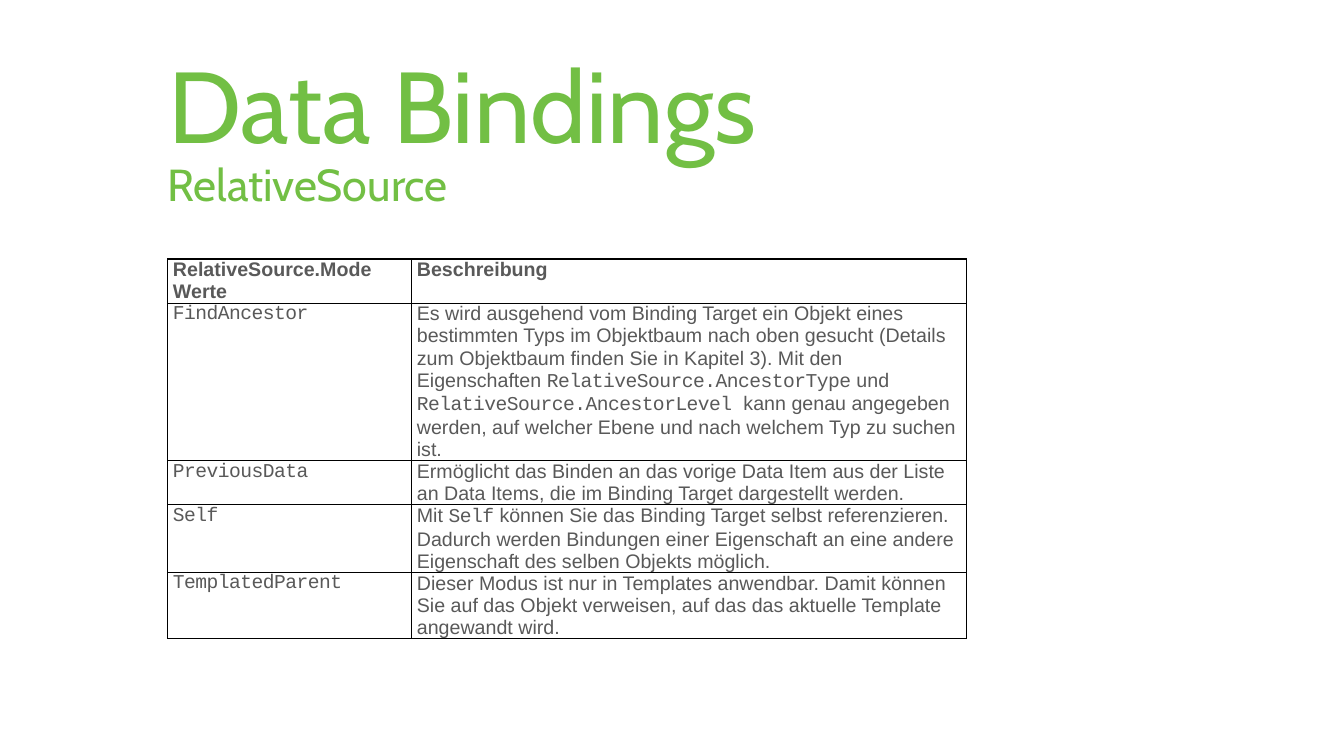
from dataclasses import dataclass

from lxml import etree
from pptx import Presentation
from pptx import util as u
from pptx.dml.color import RGBColor
from pptx.enum import text
from pptx.oxml import ns


@dataclass(frozen=True)
class Theme:
    """Colours, fonts and type sizes of the slide."""
    green: str = "72BF44"
    grey: str = "595959"
    line: str = "000000"
    heading_font: str = "Cabin"
    body_font: str = "Arial"
    code_font: str = "Courier New"
    title_size: float = 72
    subtitle_size: float = 32
    table_size: float = 14
    code_spacing: int = -40
    border: float = 1


THEME = Theme()
COLUMNS = (2.42, 5.5)
ROW_HEIGHTS = (0.43, 1.55, 0.43, 0.66, 0.65)
MODES = (
    ("RelativeSource.Mode Werte", "Beschreibung"),
    ("`FindAncestor`",
     "Es wird ausgehend vom Binding Target ein Objekt eines bestimmten Typs im "
     "Objektbaum nach oben gesucht (Details zum Objektbaum finden Sie in Kapitel 3). "
     "Mit den Eigenschaften `RelativeSource.AncestorType` und "
     "`RelativeSource.AncestorLevel `kann genau angegeben werden, auf welcher Ebene "
     "und nach welchem Typ zu suchen ist."),
    ("`PreviousData`",
     "Ermöglicht das Binden an das vorige Data Item aus der Liste an Data Items, "
     "die im Binding Target dargestellt werden."),
    ("`Self`",
     "Mit `Self` können Sie das Binding Target selbst referenzieren. Dadurch werden "
     "Bindungen einer Eigenschaft an eine andere Eigenschaft des selben Objekts möglich."),
    ("`TemplatedParent`",
     "Dieser Modus ist nur in Templates anwendbar. Damit können Sie auf das Objekt "
     "verweisen, auf das das aktuelle Template angewandt wird."),
)


def style(r, font, size, color, bold=False):
    """Format one run."""
    r.font.name, r.font.size, r.font.bold = font, u.Pt(size), bold
    r.font.color.rgb = RGBColor.from_string(color)


def heading(sp, box, words, size, anchor):
    """Place a placeholder in its box and write one green line."""
    sp.left, sp.top, sp.width, sp.height = (u.Inches(n) for n in box)
    tf = sp.text_frame
    tf.text = words
    tf.word_wrap, tf.auto_size = True, text.MSO_AUTO_SIZE.NONE
    tf.vertical_anchor = anchor
    tf.margin_left = tf.margin_right = tf.margin_top = tf.margin_bottom = 0
    p = tf.paragraphs[0]
    pPr = p._p.get_or_add_pPr()
    pPr.set("marL", "0")
    pPr.set("indent", "0")
    etree.SubElement(pPr, ns.qn("a:buNone"))
    p.alignment = text.PP_ALIGN.LEFT
    p.space_before = u.Pt(0)
    style(p.runs[0], THEME.heading_font, size, THEME.green)


def draw_borders(cell):
    """Rule all four sides of a cell."""
    tcPr = cell._tc.get_or_add_tcPr()
    for i, side in enumerate(("lnL", "lnR", "lnT", "lnB")):
        ln = etree.Element(ns.qn(f"a:{side}"), w=str(u.Pt(THEME.border)))
        fill = etree.SubElement(ln, ns.qn("a:solidFill"))
        etree.SubElement(fill, ns.qn("a:srgbClr"), val=THEME.line)
        tcPr.insert(i, ln)


def fill_cell(cell, words, bold):
    """Write a cell, setting the parts between backticks as code."""
    cell.margin_left = cell.margin_right = u.Inches(0.05)
    cell.margin_top = cell.margin_bottom = 0
    cell.fill.background()
    draw_borders(cell)
    p = cell.text_frame.paragraphs[0]
    for i, part in enumerate(words.split("`")):
        if part:
            r = p.add_run()
            r.text = part
            is_code = i % 2 == 1
            font = THEME.code_font if is_code else THEME.body_font
            style(r, font, THEME.table_size, THEME.grey, bold)
            if is_code:
                r.font._element.set("spc", str(THEME.code_spacing))


def mode_table(slide, left, top):
    """Build the table of modes from its top left corner."""
    frame = slide.shapes.add_table(
        len(MODES), len(COLUMNS), u.Inches(left), u.Inches(top),
        u.Inches(sum(COLUMNS)), u.Inches(sum(ROW_HEIGHTS)))
    table = frame.table
    table.horz_banding = False
    for column, width in zip(table.columns, COLUMNS):
        column.width = u.Inches(width)
    for i, (row, height) in enumerate(zip(table.rows, ROW_HEIGHTS)):
        row.height = u.Inches(height)
        for cell, words in zip(row.cells, MODES[i]):
            fill_cell(cell, words, bold=i == 0)


def main():
    """Build and save the slide."""
    prs = Presentation()
    prs.slide_width, prs.slide_height = u.Inches(13.33), u.Inches(7.5)
    slide = prs.slides.add_slide(prs.slide_layouts[1])
    title, subtitle = slide.placeholders
    heading(title, (1.67, 0.53, 11.3, 0.99), "Data Bindings",
            THEME.title_size, text.MSO_ANCHOR.MIDDLE)
    heading(subtitle, (1.66, 1.55, 11.3, 0.48), "RelativeSource",
            THEME.subtitle_size, text.MSO_ANCHOR.TOP)
    mode_table(slide, 1.665, 2.57)
    prs.save("out.pptx")


if __name__ == "__main__":
    main()
